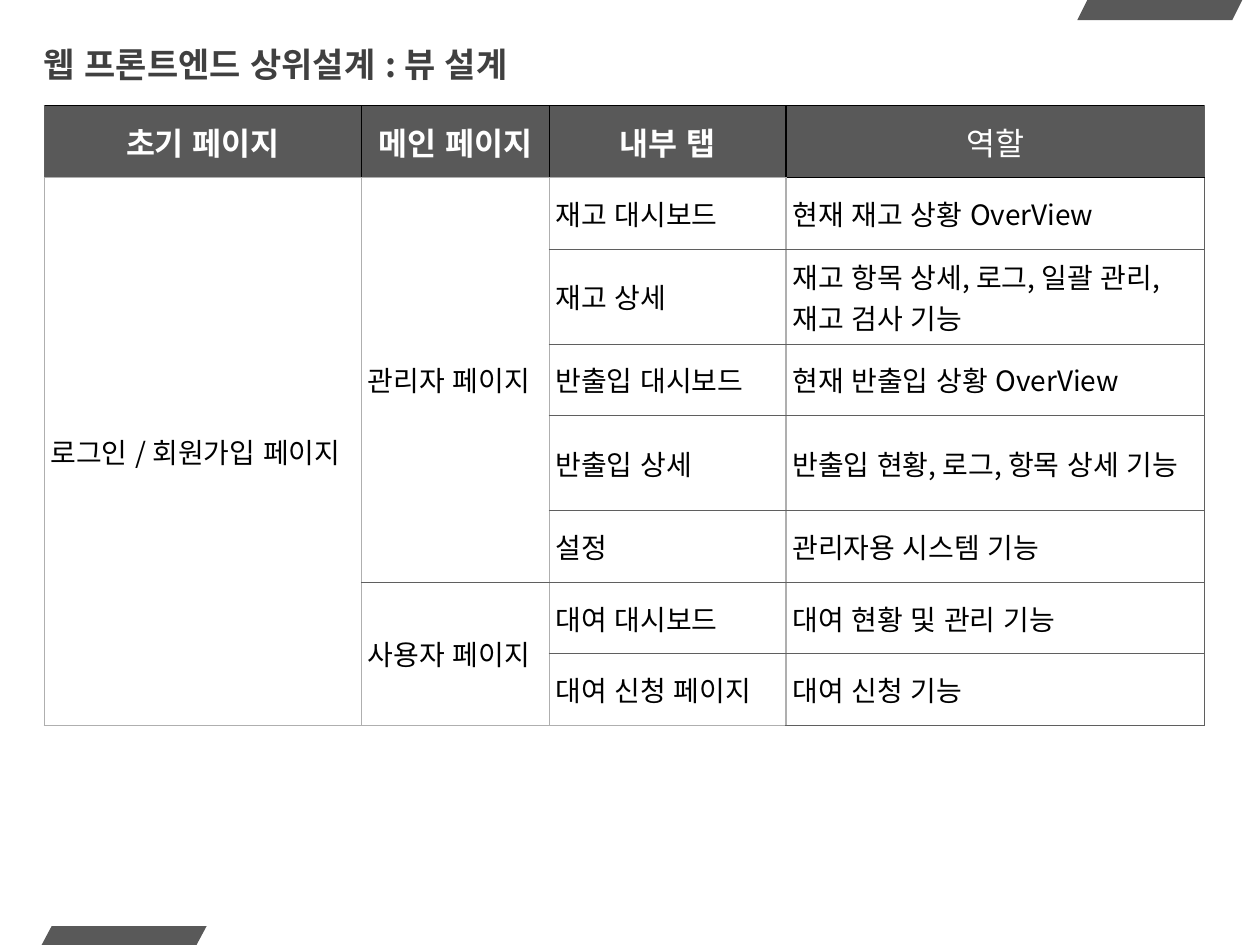
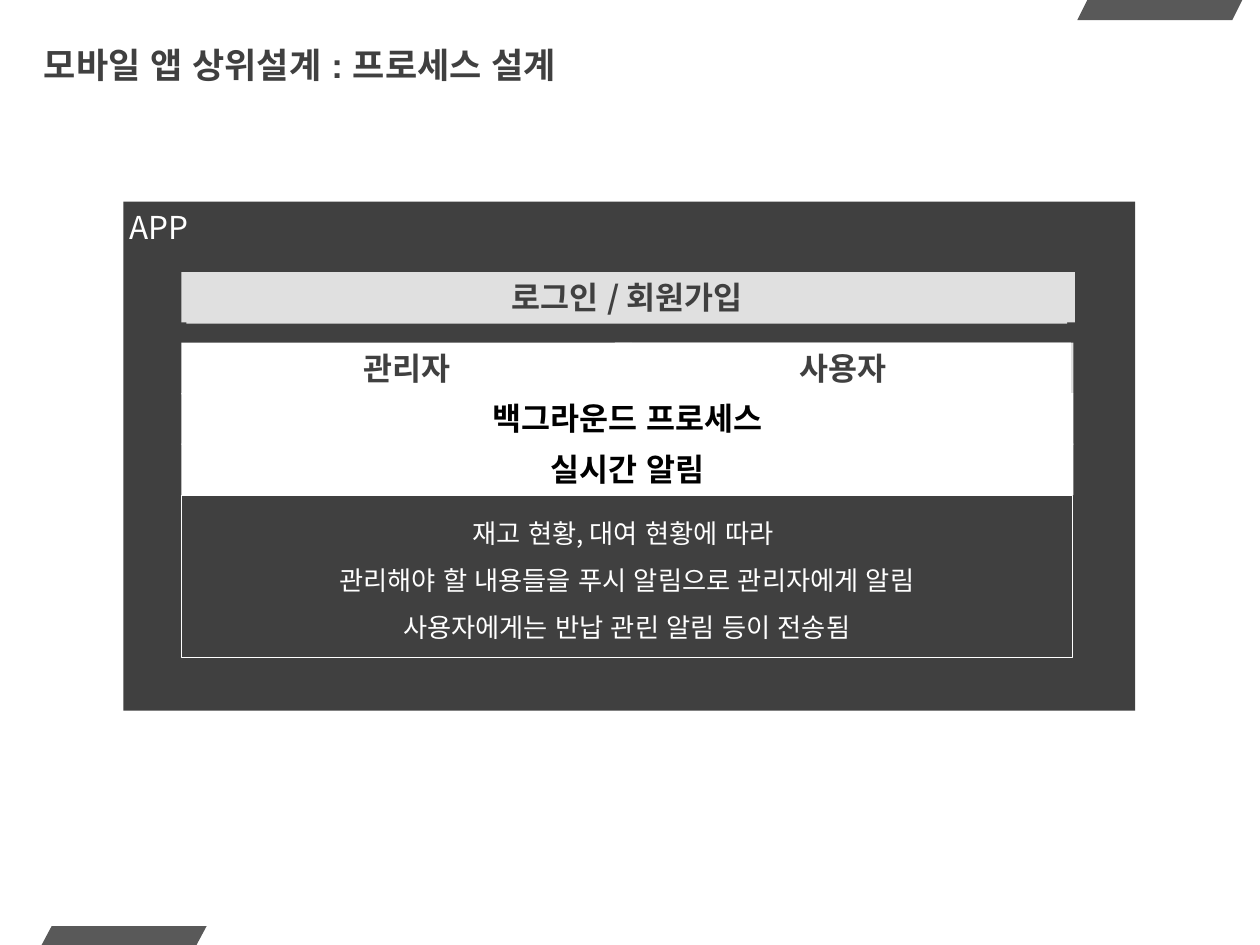
import pptx
import pptx.util
import pptx.dml.color
import pptx.enum.lang
import pptx.enum.shapes
import pptx.enum.text
import pptx.oxml
import pptx.oxml.ns

SCALE = 9144
FONT = "Noto Sans CJK KR"
NO_STYLE = "{2D5ABB26-0587-4C30-8999-92F81FD0307C}"
COLORS = {
    "band": "595959",
    "dark": "404040",
    "pale": "E0E0E0",
    "white": "FFFFFF",
    "black": "000000",
    "rule": "5F5F5F",
    "soft": "AFAFAF",
}
ALIGN = pptx.enum.text.PP_ALIGN
ANCHOR = pptx.enum.text.MSO_ANCHOR


def px(length):
    return pptx.util.Emu(length * SCALE)


def color(name):
    return pptx.dml.color.RGBColor.from_string(COLORS[name])


def write(frame, text, size=18, ink="white", bold=False, align=ALIGN.LEFT,
          spacing=None, latin=FONT):
    for index, line in enumerate(text.split("\n")):
        para = frame.add_paragraph() if index else frame.paragraphs[0]
        para.alignment = align
        para.line_spacing = spacing
        span = para.add_run()
        span.text = line
        span.font.size = pptx.util.Pt(size)
        span.font.bold = bold
        span.font.color.rgb = color(ink)
        span.font.name = latin
        span.font.language_id = pptx.enum.lang.MSO_LANGUAGE_ID.KOREAN
        span.font._element.set("kern", "0")
        east = pptx.oxml.parse_xml(
            f'<a:ea {pptx.oxml.ns.nsdecls("a")} typeface="{FONT}"/>')
        span.font._element.find(pptx.oxml.ns.qn("a:latin")).addnext(east)


class Builder:
    def __init__(self):
        self.deck = pptx.Presentation()
        self.deck.slide_width = px(1000)
        self.deck.slide_height = px(750)
        self.page = None

    def new_page(self, title, **style):
        self.page = self.deck.slides.add_slide(self.deck.slide_layouts[6])
        self.slanted_band(33, 735, 15)
        self.slanted_band(855, 0, 16)
        self.text(25, 33, 803, 40, title, inset=(10, 5), anchor=ANCHOR.MIDDLE,
                  ink="dark", bold=True, spacing=0.9, **style)

    def slanted_band(self, left, top, height):
        width, slant = 131, 8
        pen = self.page.shapes.build_freeform(left + slant, top, scale=SCALE)
        pen.add_line_segments([(left + width, top),
                               (left + width - slant, top + height),
                               (left, top + height)])
        self.paint(pen.convert_to_shape(), "band")

    def paint(self, shape, fill=None, line=None):
        shape.shadow.inherit = False
        if fill:
            shape.fill.solid()
            shape.fill.fore_color.rgb = color(fill)
        else:
            shape.fill.background()
        if line:
            shape.line.color.rgb = color(line)
            shape.line.width = pptx.util.Pt(0.75)
        else:
            shape.line.fill.background()

    def fit(self, shape, text, inset=(5, 5), anchor=ANCHOR.TOP, **style):
        frame = shape.text_frame
        frame.word_wrap = True
        frame.vertical_anchor = anchor
        frame.margin_left = frame.margin_right = px(inset[0])
        frame.margin_top = frame.margin_bottom = px(inset[1])
        write(frame, text, **style)

    def text(self, left, top, width, height, text, **style):
        box = self.page.shapes.add_textbox(
            px(left), px(top), px(width), px(height))
        self.fit(box, text, **style)

    def rect(self, left, top, width, height, fill=None, line=None, text=None,
             **style):
        shape = self.page.shapes.add_shape(
            pptx.enum.shapes.MSO_SHAPE.RECTANGLE,
            px(left), px(top), px(width), px(height))
        self.paint(shape, fill, line)
        if text:
            self.fit(shape, text, **style)

    def border(self, cell, side, ink, width):
        cell._tc.get_or_add_tcPr().append(pptx.oxml.parse_xml(
            f'<a:ln{side} {pptx.oxml.ns.nsdecls("a")} w="{int(width * 12700)}">'
            f'<a:solidFill><a:srgbClr val="{COLORS[ink]}"/></a:solidFill>'
            f'</a:ln{side}>'))

    def table(self, left, top, widths, heights, rows, merges, vertical,
              horizontal):
        frame = self.page.shapes.add_table(
            len(rows), len(widths), px(left), px(top),
            px(sum(widths)), px(sum(heights)))
        grid = frame.table
        grid.first_row = grid.horz_banding = False
        grid._tbl.tblPr.find(pptx.oxml.ns.qn("a:tableStyleId")).text = NO_STYLE
        for column, width in zip(grid.columns, widths):
            column.width = px(width)
        for row, height in zip(grid.rows, heights):
            row.height = px(height)
        for first, last, column in merges:
            grid.cell(first, column).merge(grid.cell(last, column))
        for r, texts in enumerate(rows):
            for c, text in enumerate(texts):
                cell = grid.cell(r, c)
                if cell.is_spanned:
                    continue
                end = r + (cell.span_height if cell.is_merge_origin else 1)
                self.border(cell, "L", *vertical(r, c))
                self.border(cell, "R", *vertical(r, c + 1))
                self.border(cell, "T", *horizontal(r, c))
                self.border(cell, "B", *horizontal(end, c))
                self.fill_cell(cell, text, r == 0, c < len(widths) - 1)

    def fill_cell(self, cell, text, header, bold):
        cell.margin_left = cell.margin_right = px(5)
        cell.margin_top = cell.margin_bottom = px(5)
        cell.vertical_anchor = ANCHOR.MIDDLE
        if header:
            cell.fill.solid()
            cell.fill.fore_color.rgb = color("band")
            write(cell.text_frame, text, bold=bold, align=ALIGN.CENTER)
        else:
            cell.fill.background()
            write(cell.text_frame, text, size=16, ink="black")


def view_vertical(row, edge):
    if edge == 4:
        return "rule", 0.5
    if row == 0:
        return ("black", 1) if edge else ("rule", 0.5)
    return "soft", 1 if edge else 0.5


def view_horizontal(edge, column):
    if edge == 0:
        return "black", 0.5
    if edge == 1:
        return ("soft", 1) if column < 3 else ("black", 1)
    if edge == 8 and column < 3:
        return "soft", 1 if column else 0.5
    return "rule", 0.5


def view_page(builder):
    builder.new_page("웹 프론트엔드 상위설계 : 뷰 설계", size=19.4)
    rows = [
        ("초기 페이지", "메인 페이지", "내부 탭", "역할"),
        ("로그인 / 회원가입 페이지", "관리자 페이지", "재고 대시보드",
         "현재 재고 상황 OverView"),
        ("", "", "재고 상세", "재고 항목 상세, 로그, 일괄 관리, 재고 검사 기능"),
        ("", "", "반출입 대시보드", "현재 반출입 상황 OverView"),
        ("", "", "반출입 상세", "반출입 현황, 로그, 항목 상세 기능"),
        ("", "", "설정", "관리자용 시스템 기능"),
        ("", "사용자 페이지", "대여 대시보드", "대여 현황 및 관리 기능"),
        ("", "", "대여 신청 페이지", "대여 신청 기능"),
    ]
    two_lines = (2, 4)
    heights = [75 if index in two_lines else 57 for index in range(len(rows))]
    builder.table(35, 84, (252, 149, 188, 332), heights, rows,
                  [(1, 7, 0), (1, 5, 1), (6, 7, 1)],
                  view_vertical, view_horizontal)


def process_page(builder):
    builder.new_page("모바일 앱 상위설계 : 프로세스 설계", size=20, latin="Arial")
    builder.rect(98, 160, 803, 404, "dark", text="APP")
    builder.rect(144, 216, 709, 40, "pale")
    builder.rect(144, 393, 707, 129, line="white")
    builder.text(149, 393, 697, 130,
                 "재고 현황, 대여 현황에 따라 \n"
                 "관리해야 할 내용들을 푸시 알림으로 관리자에게 알림\n"
                 "사용자에게는 반납 관린 알림 등이 전송됨",
                 size=15, align=ALIGN.CENTER, spacing=1.5)
    builder.rect(502, 272, 350, 40, "pale")
    bars = [
        (148, 216, 699, "pale", "dark", "로그인 / 회원가입"),
        (144, 272, 358, "white", "dark", "관리자"),
        (488, 272, 362, "white", "dark", "사용자"),
        (144, 312, 708, "white", "black", "백그라운드 프로세스"),
        (144, 352, 708, "white", "black", "실시간 알림"),
    ]
    for left, top, width, fill, ink, label in bars:
        builder.rect(left, top, width, 41, fill, text=label, ink=ink,
                     bold=True, align=ALIGN.CENTER)


def main():
    builder = Builder()
    view_page(builder)
    process_page(builder)
    builder.deck.save("out.pptx")


if __name__ == "__main__":
    main()
